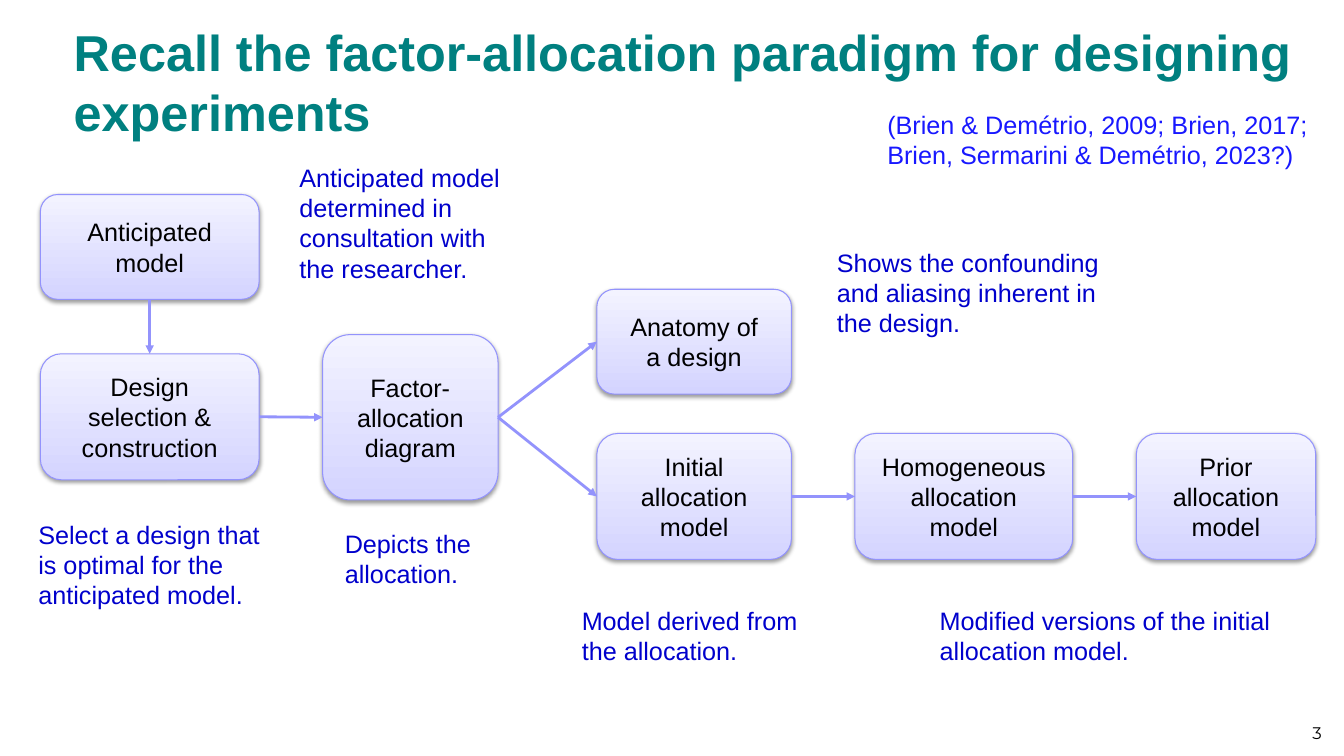
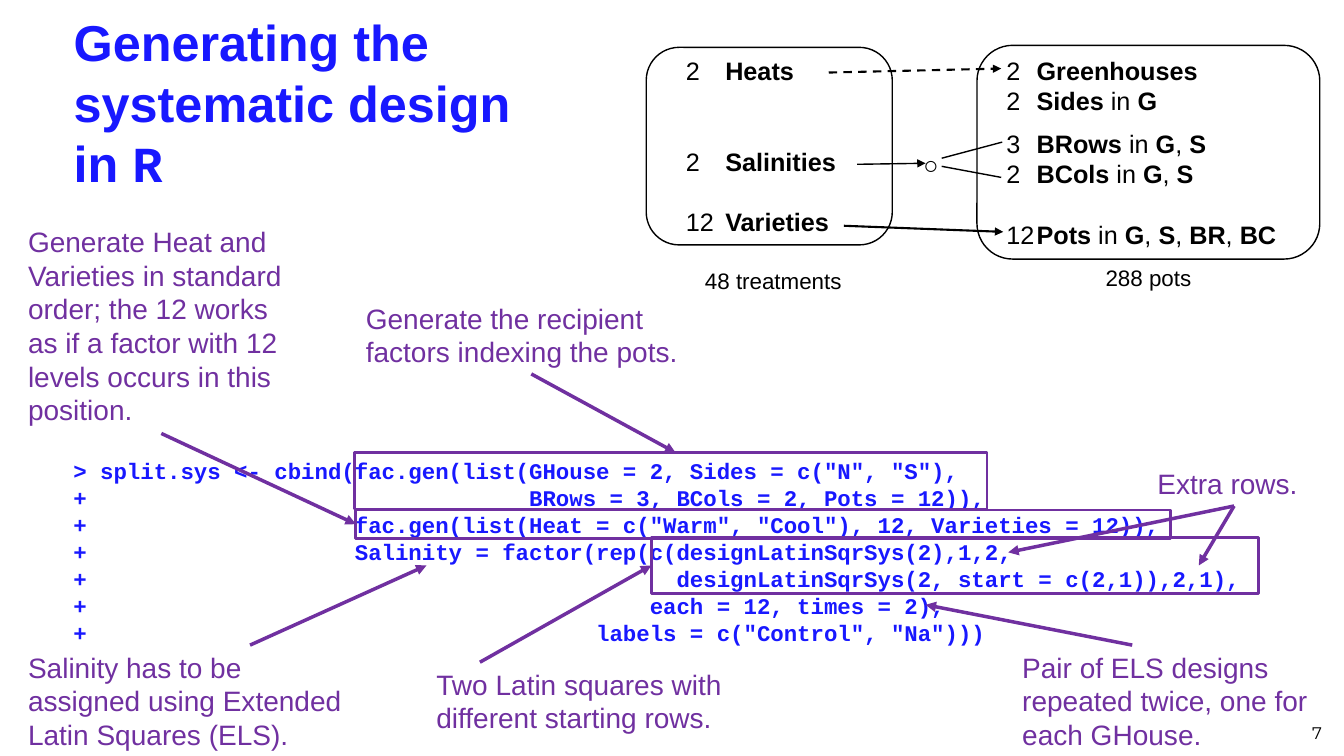
from dataclasses import dataclass

from lxml.etree import SubElement
from pptx import Presentation
from pptx.dml.color import RGBColor as Rgb
from pptx.enum.dml import MSO_LINE as Dash
from pptx.enum.shapes import MSO_CONNECTOR as Conn, MSO_SHAPE as Kind
from pptx.enum.text import MSO_ANCHOR as Anchor, MSO_AUTO_SIZE as Fit, PP_ALIGN as Align
from pptx.oxml import parse_xml
from pptx.oxml.ns import nsdecls, qn
from pptx.util import Inches, Pt


@dataclass(frozen=True)
class Theme:
    sans: str = "Arial"
    mono: str = "Courier New"
    page: str = "Montserrat"
    teal: str = "008080"
    blue: str = "1818FF"
    navy: str = "0000CC"
    purple: str = "7030A0"
    black: str = "000000"
    edge: str = "9393FC"
    low: str = "D4D4FF"
    high: str = "F3F3FF"
    head: int = 36
    note: int = 20
    body: int = 18
    small: int = 16
    tiny: int = 12


T = Theme()
LEFT, TOP, RIGHT, BOTTOM = 1, 0, 3, 2  # connection sites
WIDE, SLIM = (0.13, 0.07), (0.1, 0.05)  # text insets
SHADOW = (
    f'<a:outerShdw {nsdecls("a")} blurRad="40000" dist="20000" dir="5400000" '
    'rotWithShape="0"><a:srgbClr val="000000"><a:alpha val="38000"/>'
    "</a:srgbClr></a:outerShdw>"
)


class Deck:
    def __init__(self):
        self.show = Presentation()
        self.show.slide_width = Inches(13.33)
        self.show.slide_height = Inches(7.5)
        self.slide = None

    def start(self, title, at, color, number):
        """Add a slide; title is a list of (words, font) runs."""
        self.slide = self.show.slides.add_slide(self.show.slide_layouts[5])
        head = self.slide.shapes.title
        head.left, head.top, head.width, head.height = map(Inches, at)
        frame = self.frame(head, SLIM, Anchor.MIDDLE)
        para = frame.paragraphs[0]
        para.alignment = Align.LEFT
        for words, font in title:
            self.run(para, words, T.head, color, font, True)
        self.text(number, (10.1, 6.92, 3.11, 0.5), T.tiny, T.black, font=T.page,
                  align=Align.RIGHT, anchor=Anchor.BOTTOM)

    def frame(self, shape, inset, anchor):
        frame = shape.text_frame
        frame.word_wrap = True
        frame.auto_size = Fit.NONE
        frame.vertical_anchor = anchor
        frame.margin_left = frame.margin_right = Inches(inset[0])
        frame.margin_top = frame.margin_bottom = Inches(inset[1])
        return frame

    def run(self, para, words, size, color, font=T.sans, bold=False):
        run = para.add_run()
        run.text = words
        run.font.size = Pt(size)
        run.font.name = font
        run.font.bold = bold
        run.font.color.rgb = Rgb.from_string(color)

    def fill(self, frame, words, size, color, font=T.sans, bold=False, align=Align.LEFT):
        """Write each line of words as one paragraph."""
        for i, line in enumerate(words.split("\n")):
            para = frame.add_paragraph() if i else frame.paragraphs[0]
            para.alignment = align
            self.run(para, line, size, color, font, bold)

    def text(self, words, at, size, color, inset=SLIM, anchor=Anchor.TOP, **style):
        box = self.slide.shapes.add_textbox(*map(Inches, at))
        self.fill(self.frame(box, inset, anchor), words, size, color, **style)

    def shape(self, kind, at, color, width):
        """Add an unfilled outline."""
        shape = self.slide.shapes.add_shape(kind, *map(Inches, at))
        shape.shadow.inherit = False
        shape.fill.background()
        shape.line.color.rgb = Rgb.from_string(color)
        shape.line.width = Pt(width)
        return shape

    def node(self, words, at):
        shape = self.shape(Kind.ROUNDED_RECTANGLE, at, T.edge, 0.75)
        shape.fill.gradient()
        shape.fill.gradient_angle = 90
        for stop, tint, place in zip(shape.fill.gradient_stops, (T.low, T.high), (0, 1)):
            stop.color.rgb = Rgb.from_string(tint)
            stop.position = place
        shape.element.spPr.find(qn("a:effectLst")).append(parse_xml(SHADOW))
        frame = self.frame(shape, WIDE, Anchor.MIDDLE)
        self.fill(frame, words, T.body, T.black, align=Align.CENTER)
        return shape

    def panel(self, rows, at, hang):
        """Add a factor list; rows are (space before, text), *...* marks bold."""
        shape = self.shape(Kind.ROUNDED_RECTANGLE, at, T.black, 1)
        frame = self.frame(shape, SLIM, Anchor.MIDDLE)
        for i, (gap, words) in enumerate(rows):
            para = frame.add_paragraph() if i else frame.paragraphs[0]
            para.alignment = Align.LEFT
            props = para._p.get_or_add_pPr()
            props.set("marL", str(Inches(hang[0])))
            props.set("indent", str(-Inches(hang[1])))
            if gap:
                para.space_before = Pt(gap)
            for j, part in enumerate(words.split("*")):
                if part:
                    self.run(para, part, T.body, T.black, bold=j % 2 == 1)

    def line(self, start, end, color, width, arrow=True, dash=False):
        link = self.slide.shapes.add_connector(Conn.STRAIGHT, *map(Inches, start + end))
        link.line.color.rgb = Rgb.from_string(color)
        link.line.width = Pt(width)
        if dash:
            link.line.dash_style = Dash.DASH
        if arrow:
            SubElement(link.line._get_or_add_ln(), qn("a:tailEnd")).set("type", "triangle")
        SubElement(link._element.spPr, qn("a:effectLst"))
        return link

    def join(self, source, target, out=RIGHT, into=LEFT):
        link = self.line((0, 0), (1, 1), T.edge, 2)
        link.begin_connect(source, out)
        link.end_connect(target, into)


def flow(deck):
    deck.start(
        [("Recall the factor-allocation paradigm for designing experiments", T.sans)],
        (0.63, 0.2, 12.6, 1.21), T.teal, "3")
    nodes = {
        "model": ("Anticipated\nmodel", (0.4, 1.93, 2.17, 1.04)),
        "design": ("Design selection &\nconstruction", (0.4, 3.51, 2.17, 1.25)),
        "factor": ("Factor-allocation diagram", (3.2, 3.32, 1.74, 1.64)),
        "anatomy": ("Anatomy of\na design", (5.92, 2.87, 1.93, 1.04)),
        "initial": ("Initial\nallocation model", (5.92, 4.3, 1.93, 1.25)),
        "homog": ("Homogeneous allocation\nmodel", (8.48, 4.3, 2.16, 1.25)),
        "prior": ("Prior\nallocation model", (11.27, 4.3, 1.78, 1.25)),
    }
    made = {name: deck.node(*node) for name, node in nodes.items()}
    deck.join(made["model"], made["design"], BOTTOM, TOP)
    for source, target in (("design", "factor"), ("factor", "anatomy"),
                           ("factor", "initial"), ("initial", "homog"),
                           ("homog", "prior")):
        deck.join(made[source], made[target])

    notes = (
        ("Anticipated model determined in consultation with the researcher.",
         (2.84, 1.54, 2.46, 1.45)),
        ("Select a design that is optimal for the anticipated model.",
         (0.25, 5.08, 2.48, 1.18)),
        ("Depicts the allocation.", (3.29, 5.17, 1.56, 0.75)),
        ("Shows the confounding and aliasing inherent in the design.",
         (8.17, 2.38, 3.07, 1.11)),
        ("Model derived from the allocation.", (5.64, 5.93, 2.52, 0.78)),
        ("Modified versions of the initial allocation model.",
         (9.19, 5.93, 3.62, 0.75)),
    )
    for words, at in notes:
        deck.text(words, at, T.body, T.navy, WIDE)
    deck.text("(Brien & Demétrio, 2009; Brien, 2017;\nBrien, Sermarini & Demétrio, 2023?)",
              (8.67, 1.01, 4.49, 0.79), T.body, T.blue, WIDE)


CODE = """\
> split.sys <- cbind(fac.gen(list(GHouse = 2, Sides = c("N", "S"),
+                                 BRows = 3, BCols = 2, Pots = 12)),
+                    fac.gen(list(Heat = c("Warm", "Cool"), 12, Varieties = 12)),
+                    Salinity = factor(rep(c(designLatinSqrSys(2),1,2,
+                                            designLatinSqrSys(2, start = c(2,1)),2,1),
+                                          each = 12, times = 2),
+                                      labels = c("Control", "Na")))"""


def code(deck):
    deck.start([("Generating the systematic design in ", T.sans), ("R", T.mono)],
               (0.63, 0.17, 4.6, 1.69), T.blue, "7")
    deck.text(CODE, (0.63, 4.49, 12.14, 1.98), T.small, T.blue, font=T.mono, bold=True)

    deck.panel(((0, "2\t*Heats*"), (43, "2\t*Salinities*"), (21.5, "12\t*Varieties*")),
               (6.41, 0.47, 2.44, 1.96), (0.59, 0.39))
    deck.panel(((0, "2\t*Greenhouses*"), (0, "2\t*Sides* in *G*"),
                (9, "3\t*BRows* in *G*, *S*"), (0, "2\t*BCols* in *G*, *S*"),
                (21.5, "12\t*Pots* in *G*, *S*, *BR*, *BC*")),
               (9.69, 0.45, 3.4, 2.12), (0.39, 0.3))
    for words, at in (("48 treatments", (6.37, 2.6, 2.6, 0.37)),
                      ("288 pots", (10.1, 2.57, 2.58, 0.37))):
        deck.text(words, at, T.small, T.black, align=Align.CENTER)
    deck.text("○", (9.06, 1.43, 0.42, 0.4), T.body, T.black)
    deck.line((8.22, 0.72), (9.93, 0.68), T.black, 1.5, dash=True)
    deck.line((8.37, 2.24), (9.95, 2.3), T.black, 1.5)
    deck.line((8.5, 1.63), (9.18, 1.62), T.black, 1)
    for start, end in (((9.34, 1.57), (9.94, 1.41)), ((9.34, 1.65), (9.93, 1.76))):
        deck.line(start, end, T.black, 1, arrow=False)

    for at in ((3.52, 4.49, 6.27, 0.56), (3.53, 5.06, 8.08, 0.28),
               (6.46, 5.33, 6.02, 0.56)):
        deck.shape(Kind.RECTANGLE, at, T.purple, 2)
    notes = (
        ("Generate Heat and Varieties in standard order; the 12 works as if "
         "a factor with 12 levels occurs in this position.",
         (0.18, 2.18, 2.83, 2.12), (1.6, 4.3), [(3.53, 5.2)]),
        ("Generate the recipient factors indexing the pots.",
         (3.53, 2.94, 3.49, 0.77), (5.27, 3.71), [(6.7, 4.49)]),
        ("Extra rows.",
         (11.38, 4.58, 1.71, 0.44), (12.24, 5.02), [(10, 5.48), (11.89, 5.61)]),
        ("Salinity has to be assigned using Extended Latin Squares (ELS).",
         (0.18, 6.4, 3.47, 1.11), (2.48, 6.4), [(4.23, 5.61)]),
        ("Two Latin squares with different starting rows.",
         (4.23, 6.57, 3.16, 0.77), (4.76, 6.57), [(6.46, 5.61)]),
        ("Pair of ELS designs repeated twice, one for each GHouse.",
         (10.04, 6.4, 3.16, 1.11), (11.23, 6.4), [(9.18, 6)]),
    )
    for words, at, start, ends in notes:
        deck.text(words, at, T.note, T.purple)
        for end in ends:
            deck.line(start, end, T.purple, 2.5)


def main():
    deck = Deck()
    flow(deck)
    code(deck)
    deck.show.save("out.pptx")


if __name__ == "__main__":
    main()
